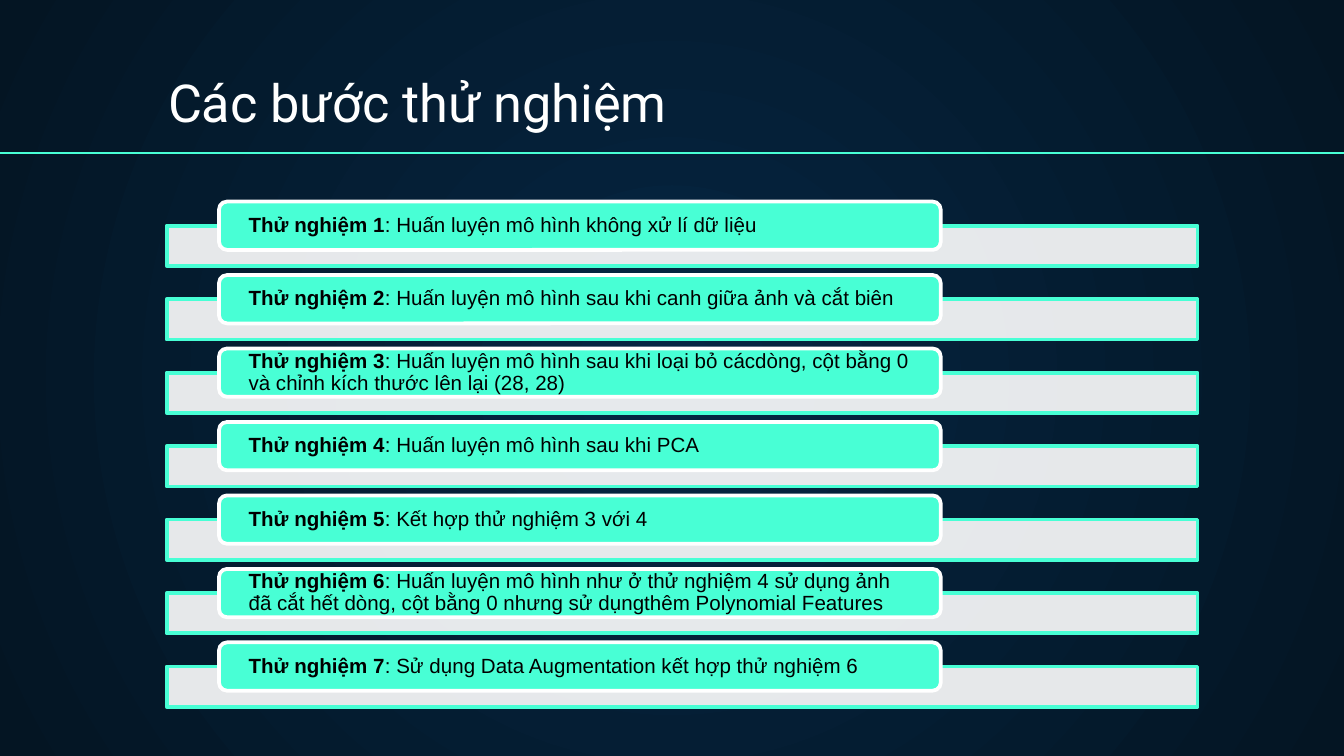
from lxml import etree
from pptx import Presentation
from pptx.dml.color import RGBColor
from pptx.enum import shapes, text
from pptx.oxml import ns
from pptx.util import Inches, Pt

HUES = {"mint": "48FFD5", "white": "FFFFFF", "black": "000000",
        "navy": "052643", "night": "041523"}
WIDE = 10
TALL = WIDE * 9 / 16
LABEL = "Thử nghiệm"
STEPS = [
    "Huấn luyện mô hình không xử lí dữ liệu",
    "Huấn luyện mô hình sau khi canh giữa ảnh và cắt biên",
    "Huấn luyện mô hình sau khi loại bỏ cácdòng, cột bằng 0 "
    "và chỉnh kích thước lên lại (28, 28)",
    "Huấn luyện mô hình sau khi PCA",
    "Kết hợp thử nghiệm 3 với 4",
    "Huấn luyện mô hình như ở thử nghiệm 4 sử dụng ảnh đã cắt hết dòng, "
    "cột bằng 0 nhưng sử dụngthêm Polynomial Features",
    "Sử dụng Data Augmentation kết hợp thử nghiệm 6",
]
FIRST = 1.5
LAST = 4.78
PITCH = (LAST - FIRST) / (len(STEPS) - 1)
DROP = 0.18
INSET = 0.02


def hue(name):
    return RGBColor.from_string(HUES[name])


def style(font, size, face, name):
    font.size = Pt(size)
    font.name = face
    font.color.rgb = hue(name)


def set_frame(frame, anchor, side, edge):
    frame.word_wrap = True
    frame.auto_size = text.MSO_AUTO_SIZE.NONE
    frame.vertical_anchor = anchor
    frame.margin_left = frame.margin_right = Inches(side)
    frame.margin_top = frame.margin_bottom = Inches(edge)


def add_back(slide):
    fill = slide.background.fill
    fill.gradient()
    for stop, name in zip(fill.gradient_stops, ("navy", "night")):
        stop.color.rgb = hue(name)
    grad = slide.element.find(".//" + ns.qn("a:gradFill"))
    grad.remove(grad.find(ns.qn("a:lin")))
    ring = etree.SubElement(grad, ns.qn("a:path"), path="circle")
    etree.SubElement(ring, ns.qn("a:fillToRect"),
                     l="50000", t="50000", r="50000", b="50000")


def add_title(slide, words):
    title = slide.shapes.title
    title.left, title.top = Inches(1.15), Inches(0.54)
    title.width, title.height = Inches(8.45), Inches(0.55)
    frame = title.text_frame
    frame.text = words
    set_frame(frame, text.MSO_ANCHOR.BOTTOM, 0.1, 0.1)
    para = frame.paragraphs[0]
    para.alignment = text.PP_ALIGN.LEFT
    style(para.font, 28, "Roboto", "white")


def add_rule(slide):
    rule = slide.shapes.add_connector(
        shapes.MSO_CONNECTOR.STRAIGHT,
        Inches(-0.1), Inches(1.14), Inches(WIDE), Inches(1.14))
    rule.line.color.rgb = hue("mint")
    rule.line.width = Pt(0.75)
    etree.SubElement(rule.element.spPr, ns.qn("a:effectLst"))


def add_box(slide, kind, left, top, width, height, fill, line):
    box = slide.shapes.add_shape(
        kind, Inches(left), Inches(top), Inches(width), Inches(height))
    box.shadow.inherit = False
    box.fill.solid()
    box.fill.fore_color.rgb = hue(fill)
    box.line.color.rgb = hue(line)
    box.line.width = Pt(2)
    return box


def add_bar(slide, top):
    bar = add_box(slide, shapes.MSO_SHAPE.RECTANGLE,
                  1.24, top, 7.67, 0.3, "white", "mint")
    tint = bar.element.spPr.find(ns.qn("a:solidFill"))[0]
    etree.SubElement(tint, ns.qn("a:alpha"), val="90000")


def add_pill(slide, top):
    add_box(slide, shapes.MSO_SHAPE.ROUNDED_RECTANGLE,
            1.63, top, 5.37, 0.36, "mint", "white")


def add_step(slide, top, label, words):
    box = slide.shapes.add_textbox(
        Inches(1.65), Inches(top), Inches(5.33), Inches(0.32))
    set_frame(box.text_frame, text.MSO_ANCHOR.MIDDLE, 0.2, 0)
    para = box.text_frame.paragraphs[0]
    para.line_spacing = 0.9
    style(para.font, 11, "Arial", "black")
    head = para.add_run()
    head.text = label
    head.font.bold = True
    para.add_run().text = f": {words}"


def main():
    deck = Presentation()
    deck.slide_width, deck.slide_height = Inches(WIDE), Inches(TALL)
    slide = deck.slides.add_slide(deck.slide_layouts[5])
    add_back(slide)
    add_title(slide, "Các bước thử nghiệm")
    add_rule(slide)
    for i, words in enumerate(STEPS):
        top = FIRST + i * PITCH
        add_bar(slide, top + DROP)
        add_pill(slide, top)
        add_step(slide, top + INSET, f"{LABEL} {i + 1}", words)
    deck.save("out.pptx")


if __name__ == "__main__":
    main()
